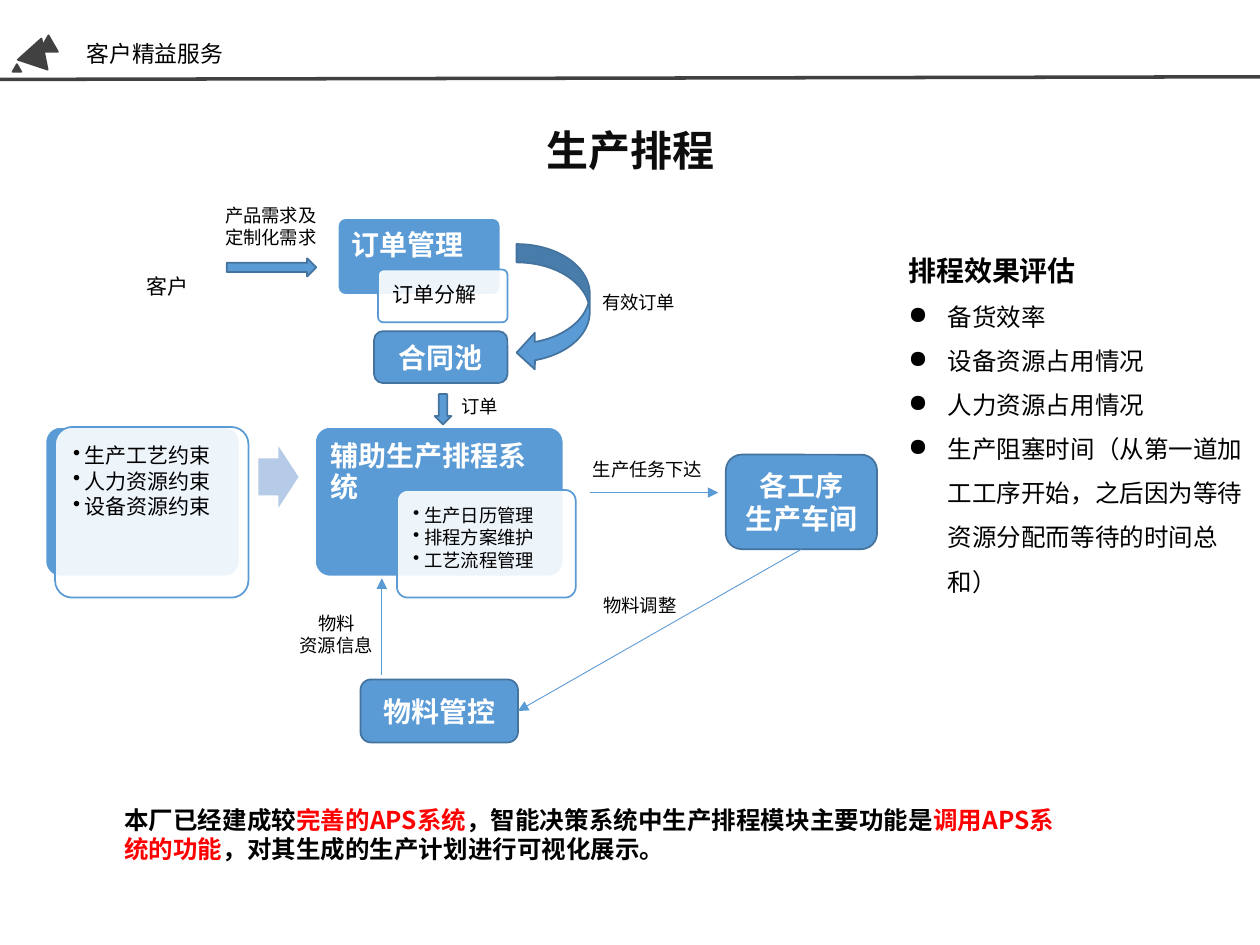
"""Build the production scheduling slide with its flow diagram and evaluation list."""
from lxml.etree import SubElement
from pptx import Presentation
from pptx.dml.color import RGBColor
from pptx.enum.shapes import MSO_CONNECTOR as Line, MSO_SHAPE as Kind
from pptx.enum.text import MSO_ANCHOR as Anchor, PP_ALIGN as Align
from pptx.oxml.ns import qn
from pptx.util import Pt

FONT = "Noto Sans CJK SC"
BLUE, EDGE, PALE = "5B9BD5", "43739E", "B5CBE7"
BLACK, WHITE, GRAY, RED = "000000", "FFFFFF", "414141", "FF0000"
color = RGBColor.from_string


def write(frame, lines, size, ink=BLACK, bold=False, align=Align.LEFT,
          spacing=1.0, after=0, bullet=None, indent=0):
    frame.word_wrap = True
    for text in lines:
        fresh = len(frame.paragraphs) == 1 and not frame.paragraphs[0].runs
        para = frame.paragraphs[0] if fresh else frame.add_paragraph()
        para.alignment = align
        para.line_spacing = spacing
        para.space_after = Pt(after)
        if bullet:
            props = para._p.get_or_add_pPr()
            props.set("marL", str(Pt(indent)))
            props.set("indent", str(Pt(-indent)))
            SubElement(props, qn("a:buChar"), char=bullet)
        for words, tint in [(text, ink)] if isinstance(text, str) else text:
            span = para.add_run()
            span.text = words
            span.font.size = Pt(size)
            span.font.bold = bold
            span.font.color.rgb = color(tint)
            span.font.name = FONT
            SubElement(span.font._element, qn("a:ea"), typeface=FONT)


def block(kind, left, top, width, height, fill=BLUE, edge=EDGE, corner=None):
    shape = page.shapes.add_shape(kind, Pt(left), Pt(top), Pt(width), Pt(height))
    shape.shadow.inherit = False
    shape.fill.solid()
    shape.fill.fore_color.rgb = color(fill)
    if edge:
        shape.line.color.rgb = color(edge)
        shape.line.width = Pt(1)
    else:
        shape.line.fill.background()
    if corner:
        shape.adjustments[0] = corner
    return shape


deck = Presentation()
deck.slide_width, deck.slide_height = Pt(720), Pt(540)
page = deck.slides.add_slide(deck.slide_layouts[6])

for left, top, width, height, turn in [
    (22.3, 20.2, 10.8, 9.4, 0),
    (12.2, 21.6, 18, 15.8, 18.5),
    (7.2, 36.7, 5, 4.3, 0),
]:
    block(Kind.ISOSCELES_TRIANGLE, left, top, width, height, GRAY, GRAY).rotation = turn

block(Kind.ROUNDED_RECTANGLE, 26, 244, 111, 85.5, BLUE, WHITE, 0.1)

for title, left, top, width, height in [
    ("辅助生产排程系统", 180, 244, 142, 85.5),
    ("订单管理", 193, 124.6, 93, 44),
]:
    header = block(Kind.ROUNDED_RECTANGLE, left, top, width, height, BLUE, WHITE, 0.1)
    frame = header.text_frame
    frame.vertical_anchor = Anchor.TOP
    frame.margin_left = frame.margin_right = frame.margin_top = Pt(6.5)
    write(frame, [title], 16, WHITE, True, spacing=0.9)

for lines, size, bullet, left, top, width, height in [
    (["生产工艺约束", "人力资源约束", "设备资源约束"], 12, "•", 31.5, 244, 110.5, 97.5),
    (["生产日历管理", "排程方案维护", "工艺流程管理"], 10.5, "•", 226.8, 280, 102.2, 61.5),
    (["订单分解"], 12, None, 216, 154, 74, 30.2),
]:
    card = block(Kind.ROUNDED_RECTANGLE, left, top, width, height, WHITE, BLUE, 0.1)
    SubElement(card.fill._xPr.find(qn("a:solidFill"))[0], qn("a:alpha"), val="90000")
    frame = card.text_frame
    frame.vertical_anchor = Anchor.TOP
    frame.margin_left = frame.margin_right = Pt(7.5)
    frame.margin_top = frame.margin_bottom = Pt(7.5)
    write(frame, lines, size, spacing=0.9, after=0.15 * size, bullet=bullet, indent=6.5)

nodes = []
for lines, left, top, width, height in [
    (["各工序", "生产车间"], 414.8, 259.8, 86.4, 54),
    (["物料管控"], 206, 388.3, 90, 36),
    (["合同池"], 213.8, 189.3, 76.2, 29.6),
]:
    node = block(Kind.ROUNDED_RECTANGLE, left, top, width, height)
    node.text_frame.vertical_anchor = Anchor.MIDDLE
    write(node.text_frame, lines, 16, WHITE, True, Align.CENTER)
    nodes.append(node)
workshop, material, pool = nodes

block(Kind.RIGHT_ARROW, 147.6, 254.9, 23, 35.3, PALE, None, 0.6)
block(Kind.RIGHT_ARROW, 129.6, 147.6, 51.1, 10.4)
block(Kind.DOWN_ARROW, 248.4, 225.2, 9.5, 17.3)
block(Kind.CURVED_LEFT_ARROW, 295.2, 139.5, 41.8, 72.5)

links = []
for x1, y1, x2, y2, tint, width in [
    (0, 45.4, 720, 43.9, GRAY, 2),
    (218.2, 386, 218.2, 330.5, BLUE, 0.5),
    (337, 281.5, 410.4, 281.5, BLUE, 0.5),
    (458, 313.8, 296, 406.3, BLUE, 0.5),
]:
    link = page.shapes.add_connector(Line.STRAIGHT, Pt(x1), Pt(y1), Pt(x2), Pt(y2))
    link.line.color.rgb = color(tint)
    link.line.width = Pt(width)
    if tint == BLUE:
        SubElement(link.line._get_or_add_ln(), qn("a:tailEnd"), type="triangle")
    SubElement(link._element.spPr, qn("a:effectLst"))
    links.append(link)
links[-1].begin_connect(workshop, 2)
links[-1].end_connect(material, 3)

summary = [
    ("本厂已经建成较", BLACK),
    ("完善的APS系统", RED),
    ("，智能决策系统中生产排程模块主要功能是", BLACK),
    ("调用APS系统的功能", RED),
    ("，对其生成的生产计划进行可视化展示。", BLACK),
]
for lines, left, top, width, height, size, ink, bold, align, wrap in [
    (["客户精益服务"], 42.5, 18.5, 628, 24, 13, BLACK, False, Align.LEFT, True),
    (["生产排程"], 235.4, 67.7, 250, 36, 24, "0D0D0D", True, Align.CENTER, True),
    (["客户"], 76.3, 152.6, 38.9, 21.6, 12, BLACK, False, Align.CENTER, False),
    (["产品需求及", "定制化需求"], 121, 113, 67.7, 32.4, 10.5, BLACK, False, Align.CENTER, False),
    (["订单"], 256.3, 222.5, 36, 20.2, 10.5, BLACK, False, Align.CENTER, False),
    (["物料", "资源信息"], 157.7, 346.3, 69, 32.4, 10.5, BLACK, False, Align.CENTER, True),
    (["物料调整"], 337.7, 336.2, 58.3, 20.2, 10.5, BLACK, False, Align.LEFT, True),
    (["生产任务下达"], 326.9, 258.5, 86.4, 20.2, 10.5, BLACK, False, Align.CENTER, True),
    (["有效订单"], 337, 162.7, 99.4, 20.2, 10.5, BLACK, False, Align.LEFT, True),
    ([summary], 64, 456.5, 556, 41, 14, BLACK, True, Align.LEFT, True),
]:
    box = page.shapes.add_textbox(Pt(left), Pt(top), Pt(width), Pt(height))
    write(box.text_frame, lines, size, ink, bold, align)
    box.text_frame.word_wrap = wrap
    box.text_frame.vertical_anchor = Anchor.MIDDLE if size == 13 else Anchor.TOP

evaluation = page.shapes.add_textbox(Pt(512), Pt(131.8), Pt(205.2), Pt(214.6)).text_frame
write(evaluation, ["排程效果评估"], 16, bold=True, spacing=1.5)
write(evaluation, [
    "备货效率",
    "设备资源占用情况",
    "人力资源占用情况",
    "生产阻塞时间（从第一道加工工序开始，之后因为等待资源分配而等待的时间总和）",
], 14, spacing=1.5, bullet="●", indent=22.5)

deck.save("out.pptx")
